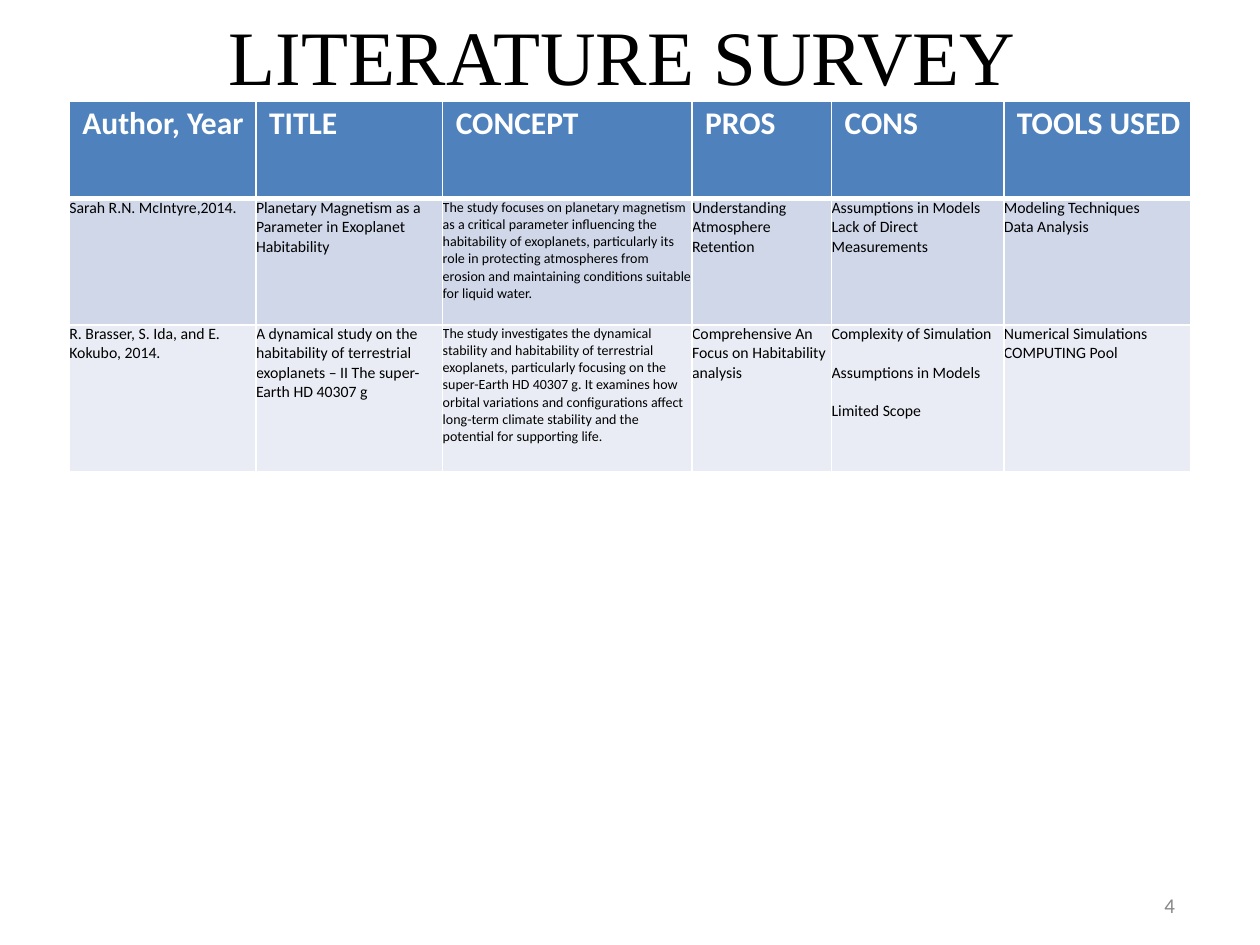
from lxml.etree import SubElement
from pptx import Presentation
from pptx.dml.color import RGBColor as RGB
from pptx.enum.text import MSO_ANCHOR as Anchor, MSO_AUTO_SIZE as AutoSize, PP_ALIGN as Align
from pptx.oxml.ns import qn
from pptx.util import Pt

COLORS = {"header": "4F81BC", "odd": "D0D7E8", "even": "E9ECF4",
          "white": "FFFFFF", "black": "000000", "number": "888888"}
COL_WIDTHS = [106.7, 106.7, 142.5, 79.7, 98.5, 106.7]
ROW_HEIGHTS = [56, 72, 84.2]
CONCEPT_COL = 2
SPACED_CELL = (2, 4)
ROWS = [
    ["Author, Year", "TITLE", "CONCEPT", "PROS", "CONS", "TOOLS USED"],
    ["Sarah R.N. McIntyre,2014.",
     "Planetary Magnetism as a Parameter in Exoplanet Habitability",
     "The study focuses on planetary magnetism as a critical parameter influencing the "
     "habitability of exoplanets, particularly its role in protecting atmospheres from "
     "erosion and maintaining conditions suitable for liquid water.",
     "Understanding Atmosphere Retention",
     "Assumptions in Models\nLack of Direct Measurements",
     "Modeling Techniques\nData Analysis"],
    ["R. Brasser, S. Ida, and E. Kokubo, 2014.",
     "A dynamical study on the habitability of terrestrial exoplanets – II The super-Earth HD 40307 g",
     "The study investigates the dynamical stability and habitability of terrestrial "
     "exoplanets, particularly focusing on the super-Earth HD 40307 g. It examines how "
     "orbital variations and configurations affect long-term climate stability and the "
     "potential for supporting life.",
     "Comprehensive An\nFocus on Habitability analysis",
     "Complexity of Simulation\nAssumptions in Models\nLimited Scope",
     "Numerical Simulations\nCOMPUTING Pool"],
]


def style(p, size, color, name="Calibri", bold=False):
    for key, value in {"size": Pt(size), "name": name, "bold": bold}.items():
        setattr(p.font, key, value)
    p.font.color.rgb = RGB.from_string(COLORS[color])


def set_border(cell, side, width):
    ln = SubElement(cell._tc.get_or_add_tcPr(), qn(f"a:ln{side}"), w=str(Pt(width)))
    fill = SubElement(ln, qn("a:solidFill"))
    SubElement(fill, qn("a:srgbClr"), val=COLORS["white"])


prs = Presentation()
prs.slide_width, prs.slide_height = Pt(720), Pt(540)
s = prs.slides.add_slide(prs.slide_layouts[5])

# Title
title = s.shapes.title
for key, value in {"left": 49.7, "top": 3.6, "width": 612, "height": 54.7}.items():
    setattr(title, key, Pt(value))
tf = title.text_frame
tf.text = "LITERATURE SURVEY"
margins = {"margin_left": 0, "margin_top": Pt(1.4), "margin_right": 0, "margin_bottom": 0}
for key, value in {**margins, "vertical_anchor": Anchor.TOP, "auto_size": AutoSize.NONE}.items():
    setattr(tf, key, value)
p = tf.paragraphs[0]
p.alignment = Align.CENTER
style(p, 44, "black", "Times New Roman")

# Survey table
table = s.shapes.add_table(len(ROWS), len(COL_WIDTHS), Pt(39.6), Pt(57.6),
                           Pt(sum(COL_WIDTHS)), Pt(sum(ROW_HEIGHTS))).table
for column, width in zip(table.columns, COL_WIDTHS):
    column.width = Pt(width)
for row, height in zip(table.rows, ROW_HEIGHTS):
    row.height = Pt(height)

for i, (texts, fill) in enumerate(zip(ROWS, ["header", "odd", "even"])):
    is_header = i == 0
    for j, text in enumerate(texts):
        cell = table.cell(i, j)
        cell.text = text
        margins = {"margin_left": Pt(7.5 if is_header else 0), "margin_right": 0,
                   "margin_top": Pt(2.2 if is_header else 0), "margin_bottom": 0}
        for key, value in margins.items():
            setattr(cell, key, value)
        for k, p in enumerate(cell.text_frame.paragraphs):
            if is_header:
                style(p, 18, "white", bold=True)
            else:
                style(p, 8 if j == CONCEPT_COL else 9, "black")
            if (i, j) == SPACED_CELL and k:
                p.space_before = Pt(11)
        borders = {"L": 1, "R": 1, "T": 3 if i == 1 else 1, "B": 3 if is_header else 1}
        for side, width in borders.items():
            set_border(cell, side, width)
        cell.fill.solid()
        cell.fill.fore_color.rgb = RGB.from_string(COLORS[fill])

# Slide number
tf = s.shapes.add_textbox(Pt(662.4), Pt(509.8), Pt(18), Pt(13.7)).text_frame
tf.text = "4"
for key, value in {"margin_left": Pt(3), "margin_top": 0, "margin_right": 0,
                   "margin_bottom": 0, "word_wrap": True}.items():
    setattr(tf, key, value)
p = tf.paragraphs[0]
p.line_spacing = 1.03
style(p, 12, "number")

prs.save("out.pptx")
